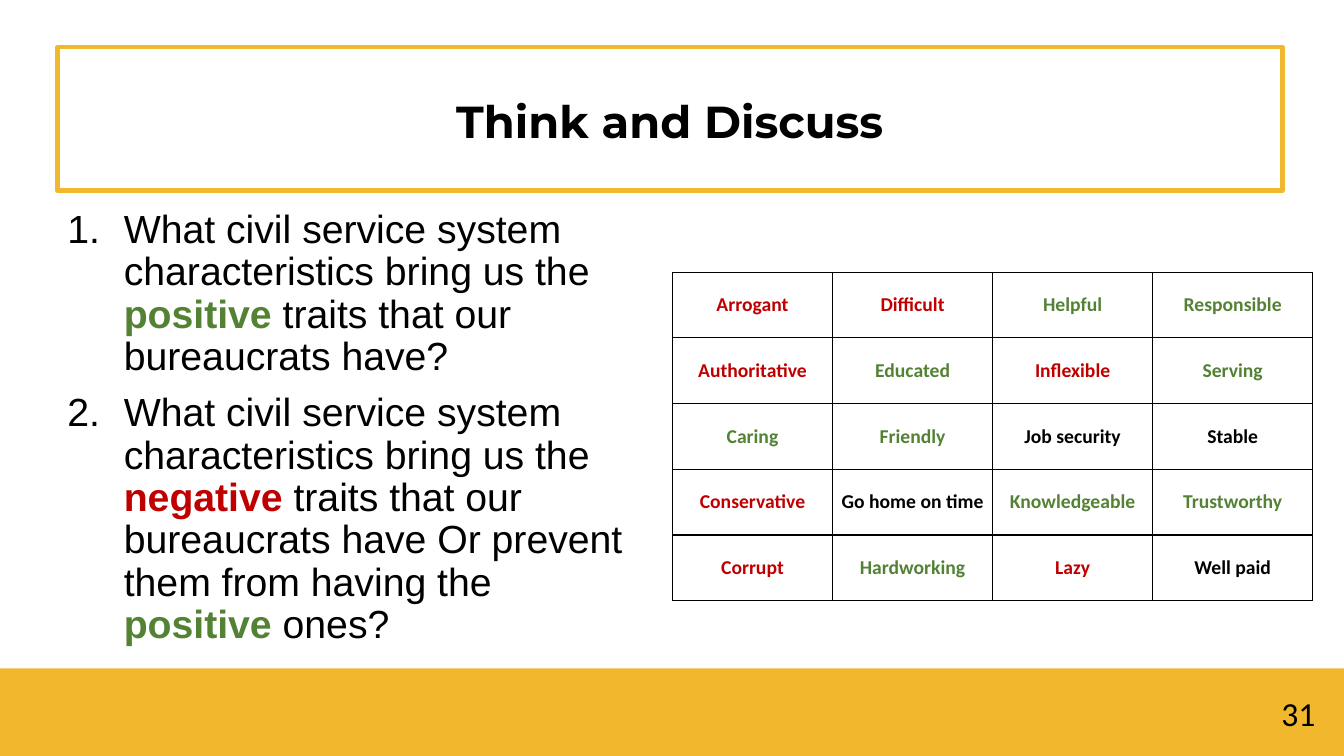
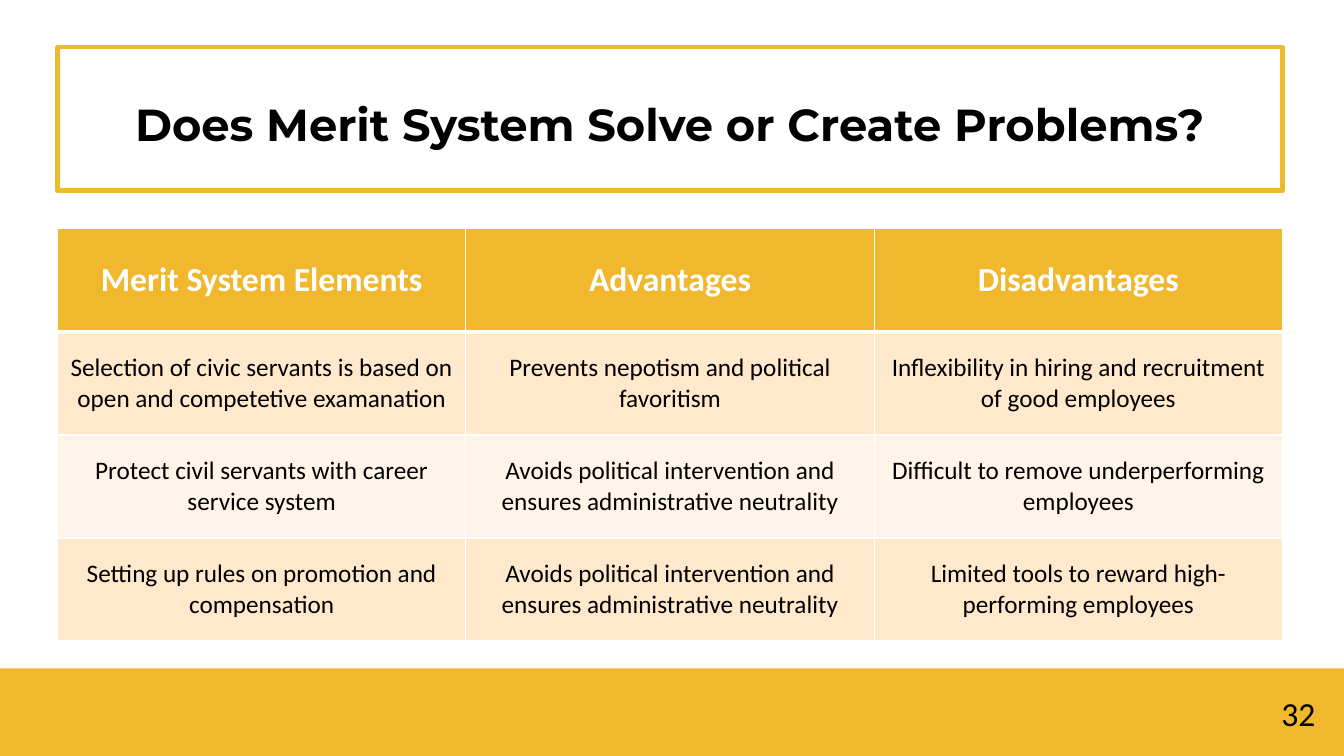
"""Build two slides on the merit system, with a shared title frame and footer band."""
from lxml.etree import SubElement as Sub
from pptx import Presentation
from pptx.dml.color import RGBColor
from pptx.enum.shapes import MSO_SHAPE as Shape
from pptx.enum.text import MSO_ANCHOR as Anchor, PP_ALIGN as Align
from pptx.oxml.ns import qn
from pptx.util import Inches, Pt

GOLD, EDGE, WHITE, BLACK = "F1B82D", "F0B82C", "FFFFFF", "000000"
GREEN, RED = "548235", "C00000"
PEACH, CREAM = "FFE8CC", "FFF4E7"
hue = RGBColor.from_string


def write(par, text, size, color=BLACK, bold=False, font="Calibri"):
    """Add one styled run to a paragraph."""
    run = par.add_run()
    run.text = text
    run.font.name, run.font.size, run.font.bold = font, Pt(size), bold
    run.font.color.rgb = hue(color)


def rule(cell, color, top=1, bottom=1):
    """Centre a cell and draw its four borders."""
    cell.vertical_anchor = Anchor.MIDDLE
    cell.text_frame.paragraphs[0].alignment = Align.CENTER
    props = cell._tc.get_or_add_tcPr()
    for side, width in zip("LRTB", (1, 1, top, bottom)):
        line = Sub(props, qn("a:ln" + side), w=str(Pt(width)))
        Sub(Sub(line, qn("a:solidFill")), qn("a:srgbClr"), val=color)


prs = Presentation()
prs.slide_width, prs.slide_height = Inches(13.33), Inches(7.5)

slides = []
titles = [("Think and Discuss", 0.9), ("Does Merit System Solve or Create Problems?", 1.0)]
for page, (title, gap) in enumerate(titles, 31):
    slide = prs.slides.add_slide(prs.slide_layouts[6])
    slides.append(slide)

    band = slide.shapes.add_shape(Shape.RECTANGLE, 0, Inches(6.63), Inches(13.33), Inches(0.87))
    band.shadow.inherit = False
    band.fill.solid()
    band.fill.fore_color.rgb = hue(GOLD)
    band.line.fill.background()

    number = slide.shapes.add_textbox(Inches(12.61), Inches(6.83), Inches(0.6), Inches(0.5))
    write(number.text_frame.paragraphs[0], str(page), 24)

    frame = slide.shapes.add_shape(
        Shape.RECTANGLE, Inches(0.57), Inches(0.47), Inches(12.15), Inches(1.42))
    frame.shadow.inherit = False
    frame.fill.solid()
    frame.fill.fore_color.rgb = hue(WHITE)
    Sub(frame._element.spPr.find(".//" + qn("a:srgbClr")), qn("a:alpha"), val="36000")
    frame.line.color.rgb = hue(EDGE)
    frame.line.width = Pt(3)
    text = frame.text_frame
    text.word_wrap = False
    text.vertical_anchor = Anchor.MIDDLE
    text.margin_left = text.margin_right = Inches(0.3)
    text.margin_top, text.margin_bottom = Inches(0.2), Inches(0.1)
    par = text.paragraphs[0]
    par.alignment = Align.CENTER
    par.line_spacing = gap
    write(par, title, 32, bold=True, font="Montserrat")

talk, merit = slides

asks = [
    [("What civil service system characteristics bring us the ", BLACK),
     ("positive", GREEN),
     (" traits that our bureaucrats have?", BLACK)],
    [("What civil service system characteristics bring us the ", BLACK),
     ("negative", RED),
     (" traits that our bureaucrats have Or prevent them from having the ", BLACK),
     ("positive ", GREEN),
     ("ones?", BLACK)],
]
body = talk.shapes.add_textbox(Inches(0.57), Inches(2.03), Inches(5.85), Inches(4.59)).text_frame
body.word_wrap = True
for index, ask in enumerate(asks):
    par = body.add_paragraph() if index else body.paragraphs[0]
    props = par._p.get_or_add_pPr()
    props.set("marL", str(Inches(0.56)))
    props.set("indent", str(-Inches(0.56)))
    Sub(props, qn("a:buFont"), typeface="+mj-lt")
    Sub(props, qn("a:buAutoNum"), type="arabicPeriod")
    par.line_spacing = 0.9
    if index:
        par.space_before = Pt(10)
    for words, color in ask:
        write(par, words, 28, color, color != BLACK, "Arial")

traits = [
    [("Arrogant", RED), ("Difficult", RED), ("Helpful", GREEN), ("Responsible", GREEN)],
    [("Authoritative", RED), ("Educated", GREEN), ("Inflexible", RED), ("Serving", GREEN)],
    [("Caring", GREEN), ("Friendly", GREEN), ("Job security", BLACK), ("Stable", BLACK)],
    [("Conservative", RED), ("Go home on time", BLACK), ("Knowledgeable", GREEN),
     ("Trustworthy", GREEN)],
    [("Corrupt", RED), ("Hardworking", GREEN), ("Lazy", RED), ("Well paid", BLACK)],
]
grid = talk.shapes.add_table(
    5, 4, Inches(6.67), Inches(2.7), Inches(6.35), Inches(3.26)).table
grid.first_row = grid.horz_banding = False
for row, line in enumerate(traits):
    for col, (trait, color) in enumerate(line):
        cell = grid.cell(row, col)
        rule(cell, BLACK)
        cell.fill.background()
        cell.margin_left = cell.margin_right = Inches(0.06)
        cell.margin_top = cell.margin_bottom = Inches(0.03)
        write(cell.text_frame.paragraphs[0], trait, 14, color, True)

points = [
    ["Merit System Elements", "Advantages", "Disadvantages"],
    ["Selection of civic servants is based on open and competetive examanation",
     "Prevents nepotism and political favoritism",
     "Inflexibility in hiring and recruitment of good employees"],
    ["Protect civil servants with career service system",
     "Avoids political intervention and ensures administrative neutrality",
     "Difficult to remove underperforming employees"],
    ["Setting up rules on promotion and compensation",
     "Avoids political intervention and ensures administrative neutrality",
     "Limited tools to reward high-performing employees"],
]
chart = merit.shapes.add_table(
    4, 3, Inches(0.57), Inches(2.27), Inches(12.15), Inches(4.09)).table
chart.horz_banding = False
for row, line in enumerate(points):
    head = row == 0
    for col, point in enumerate(line):
        cell = chart.cell(row, col)
        rule(cell, WHITE, 3 if row == 1 else 1, 3 if head else 1)
        cell.fill.solid()
        cell.fill.fore_color.rgb = hue((GOLD, PEACH, CREAM, PEACH)[row])
        write(cell.text_frame.paragraphs[0], point, 24 if head else 18,
              WHITE if head else BLACK, head)

prs.save("out.pptx")
